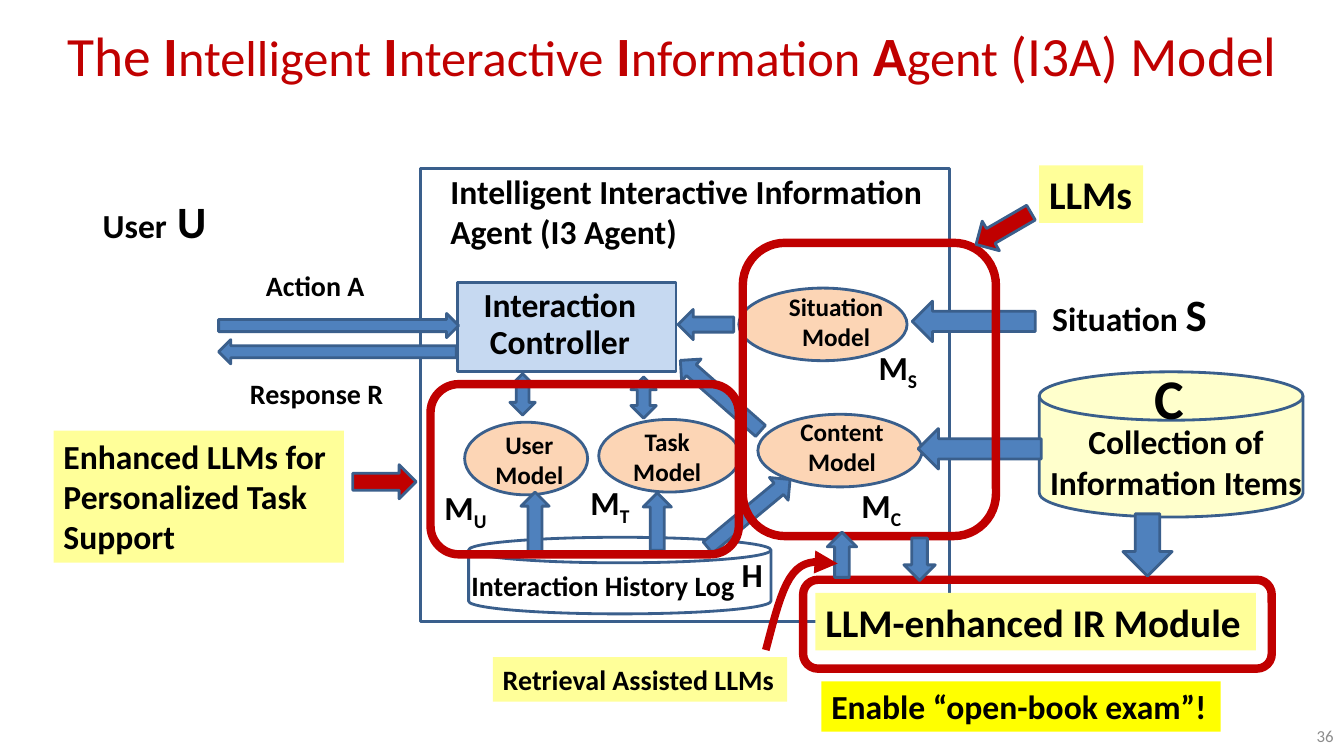
"""Build the slide on the Intelligent Interactive Information Agent (I3A) model."""
from lxml import etree
from pptx import Presentation
from pptx.dml.color import RGBColor
from pptx.enum.shapes import MSO_SHAPE as SHAPE
from pptx.enum.text import MSO_ANCHOR as ANCHOR, PP_ALIGN as ALIGN
from pptx.oxml.ns import qn
from pptx.util import Cm, Pt

COLORS = {
    "black": "000000", "gray": "8C8C8C", "red": "C00000", "edge": "3A5F8C",
    "blue": "4F81BD", "pale blue": "C6D9F1", "peach": "FCD5B5",
    "cream": "FFFFCC", "note": "FFFF99", "highlight": "FFFF00",
}
LABEL = {"name": "Calibri", "bold": True, "color": "black"}
LEFT, CENTER, RIGHT = ALIGN.LEFT, ALIGN.CENTER, ALIGN.RIGHT


def add_figure(kind, box, fill=None, edge="edge", width=2, rotation=0):
    figure = slide.shapes.add_shape(kind, *map(Cm, box))
    figure.shadow.inherit = False
    figure.rotation = rotation
    if fill:
        figure.fill.solid()
        figure.fill.fore_color.rgb = RGBColor.from_string(COLORS[fill])
    else:
        figure.fill.background()
    figure.line.color.rgb = RGBColor.from_string(COLORS[edge])
    figure.line.width = Pt(width)


def add_words(box, lines, size, align=LEFT, wrap=False, fill=None,
              anchor=ANCHOR.TOP, spacing=None, look=LABEL):
    words = slide.shapes.add_textbox(*map(Cm, box))
    if fill:
        words.fill.solid()
        words.fill.fore_color.rgb = RGBColor.from_string(COLORS[fill])
    frame = words.text_frame
    frame.word_wrap = wrap
    frame.vertical_anchor = anchor
    for number, line in enumerate(lines):
        paragraph = frame.paragraphs[0] if number == 0 else frame.add_paragraph()
        paragraph.alignment = align
        paragraph.line_spacing = spacing
        for text, changes in [(line, {})] if isinstance(line, str) else line:
            run = paragraph.add_run()
            run.text = text
            for key, value in {**look, "size": size, **changes}.items():
                if key == "color":
                    run.font.color.rgb = RGBColor.from_string(COLORS[value])
                elif key == "baseline":
                    run.font._element.set("baseline", value)
                else:
                    setattr(run.font, key, Pt(value) if key == "size" else value)


deck = Presentation()
deck.slide_width, deck.slide_height = Cm(33.87), Cm(19.05)
slide = deck.slides.add_slide(deck.slide_layouts[6])

title = [("The ", {})]
for initial, rest in [("I", "ntelligent"), ("I", "nteractive"),
                      ("I", "nformation"), ("A", "gent")]:
    title += [(initial, {"bold": True}), (rest, {"size": 36}), (" ", {})]
title.append(("(I3A) Model", {}))
add_words((0, 0, 33.87, 2.74), [title], 39.6, CENTER, True, anchor=ANCHOR.MIDDLE,
          look={"name": "Calibri", "bold": False, "color": "red"})
add_words((25.96, 18.03, 7.9, 1.02), ["36"], 12, RIGHT, True, anchor=ANCHOR.MIDDLE,
          look={"name": "Calibri", "color": "gray"})

add_figure(SHAPE.RECTANGLE, (10.59, 4.24, 13.34, 11.43))
add_figure(SHAPE.FLOWCHART_MAGNETIC_DISK, (26.19, 9.37, 6.65, 3.66), "cream")
add_figure(SHAPE.FLOWCHART_MAGNETIC_DISK, (11.81, 13.54, 7.62, 1.93))
add_figure(SHAPE.RECTANGLE, (11.53, 7.11, 5.51, 2.26), "pale blue")

models = [
    ("User", (11.71, 10.64, 3.1, 1.83), (12.22, 10.69, 2.24, 1.8)),
    ("Task", (15.09, 10.57, 3.56, 1.83), (15.62, 10.62, 2.39, 1.8)),
    ("Content", (19.1, 10.44, 4.14, 1.83), (19.91, 10.36, 2.62, 1.8)),
    ("Situation", (18.62, 7.26, 4.24, 1.83), (19.61, 7.21, 2.92, 1.8)),
]
for subject, oval, caption in models:
    add_figure(SHAPE.OVAL, oval, "peach")
    add_words(caption, [subject, "Model"], 18, CENTER)

agent_flows = [
    (SHAPE.LEFT_ARROW, (23.14, 10.8, 3.1, 1.02), 0),
    (SHAPE.LEFT_ARROW, (22.99, 7.59, 3.1, 1.02), 0),
    (SHAPE.LEFT_ARROW, (17.09, 7.8, 1.4, 0.76), 0),
    (SHAPE.LEFT_ARROW, (16.81, 9.6, 2.69, 0.74), 41.3),
    (SHAPE.LEFT_ARROW, (17.53, 12.57, 2.69, 0.74), 140.4),
    (SHAPE.UP_ARROW, (13.13, 12.4, 0.71, 1.55), 0),
    (SHAPE.UP_ARROW, (16.21, 12.42, 0.71, 1.45), 0),
    (SHAPE.RIGHT_ARROW, (5.51, 7.9, 6.05, 0.61), 0),
    (SHAPE.LEFT_ARROW, (5.51, 8.56, 5.99, 0.61), 0),
    (SHAPE.UP_DOWN_ARROW, (12.85, 9.42, 0.64, 1.04), 0),
    (SHAPE.UP_DOWN_ARROW, (15.9, 9.5, 0.64, 1.04), 0),
]
for kind, box, rotation in agent_flows:
    add_figure(kind, box, "blue", rotation=rotation)

for llm_area in [(18.72, 6.12, 6.38, 7.39), (10.85, 9.68, 7.77, 4.29),
                 (20.24, 14.61, 11.81, 2.24)]:
    add_figure(SHAPE.ROUNDED_RECTANGLE, llm_area, edge="red", width=6)

llm_flows = [
    (SHAPE.LEFT_ARROW, (24.49, 5.33, 1.6, 0.86), "red", 329.9),
    (SHAPE.RIGHT_ARROW, (8.89, 11.71, 1.6, 0.86), "red", 0),
    (SHAPE.DOWN_ARROW, (28.3, 12.95, 1.24, 1.57), "blue", 0),
    (SHAPE.UP_ARROW, (20.85, 13.41, 0.74, 1.14), "blue", 0),
    (SHAPE.DOWN_ARROW, (22.78, 13.56, 0.79, 1.07), "blue", 0),
]
for kind, box, fill, rotation in llm_flows:
    add_figure(kind, box, fill, rotation=rotation)

labels = [
    ((2.34, 4.75, 3.28, 1.63), [[("User", {}), (" U", {"size": 32})]], 24, LEFT, False),
    ((26.04, 10.49, 7.19, 2.31), ["Collection of Information Items"], 24, CENTER, True),
    ((11.1, 4.17, 13.77, 2.31),
     ["Intelligent Interactive Information", "Agent (I3 Agent)"], 24, LEFT, True),
    ((6.45, 6.65, 3.02, 1.12), ["Action A"], 20, LEFT, False),
    ((6.05, 9.37, 3.91, 1.12), ["Response R"], 20, LEFT, False),
    ((11.63, 14.2, 7.21, 1.12), ["Interaction History Log"], 20, LEFT, False),
    ((28.22, 9.04, 2.51, 1.96), ["C"], 40, CENTER, True),
    ((24.87, 7.11, 7.19, 1.63),
     [[("Situation ", {}), ("S", {"size": 32})]], 24, CENTER, True),
    ((18.44, 13.84, 1.04, 1.27), ["H"], 24, LEFT, False),
]
for label in labels:
    add_words(*label)
add_words((11.81, 7.14, 4.6, 2.11), ["Interaction", "Controller"], 24, CENTER,
          spacing=Pt(26))

for index, left, top in [("U", 10.95, 12.14), ("T", 14.63, 12.01),
                         ("S", 21.89, 8.61), ("C", 21.46, 12.09)]:
    add_words((left, top, 1.57, 1.27),
              [[("M", {}), (index, {"baseline": "-25000"})]], 24)

notes = [
    ((26.19, 4.17, 2.62, 1.45), ["LLMs"], 28, "note"),
    ((1.35, 10.85, 7.32, 3.33),
     ["Enhanced LLMs for", "Personalized Task Support"], 24, "note"),
    ((12.42, 16.56, 7.42, 1.12), ["Retrieval Assisted LLMs"], 20, "note"),
    ((20.7, 17.17, 10.06, 1.27), ["Enable “open-book exam”!"], 24, "highlight"),
    ((20.55, 14.94, 11.1, 1.45), ["LLM-enhanced IR Module"], 28, "note"),
]
for box, lines, size, fill in notes:
    add_words(box, lines, size, wrap=len(lines) > 1, fill=fill)

bends = [
    ((19.3, 16.38), (19.51, 15.6), (19.69, 14.81), (19.99, 14.45)),
    ((19.99, 14.45), (20.29, 14.07), (20.7, 14.15), (21.11, 14.2)),
]
STEPS = 10
curve = []
for bend in bends:
    for step in range(1, STEPS + 1):
        t = step / STEPS
        weights = ((1 - t) ** 3, 3 * t * (1 - t) ** 2, 3 * t ** 2 * (1 - t), t ** 3)
        curve.append([Cm(sum(w * point[axis] for w, point in zip(weights, bend)))
                      for axis in (0, 1)])
builder = slide.shapes.build_freeform(*map(Cm, bends[0][0]))
builder.add_line_segments(curve, close=False)
retrieval = builder.convert_to_shape()
retrieval.shadow.inherit = False
retrieval.fill.background()
retrieval.line.color.rgb = RGBColor.from_string(COLORS["red"])
retrieval.line.width = Pt(5.5)
etree.SubElement(retrieval.line._get_or_add_ln(), qn("a:tailEnd"), type="triangle")

deck.save("out.pptx")
